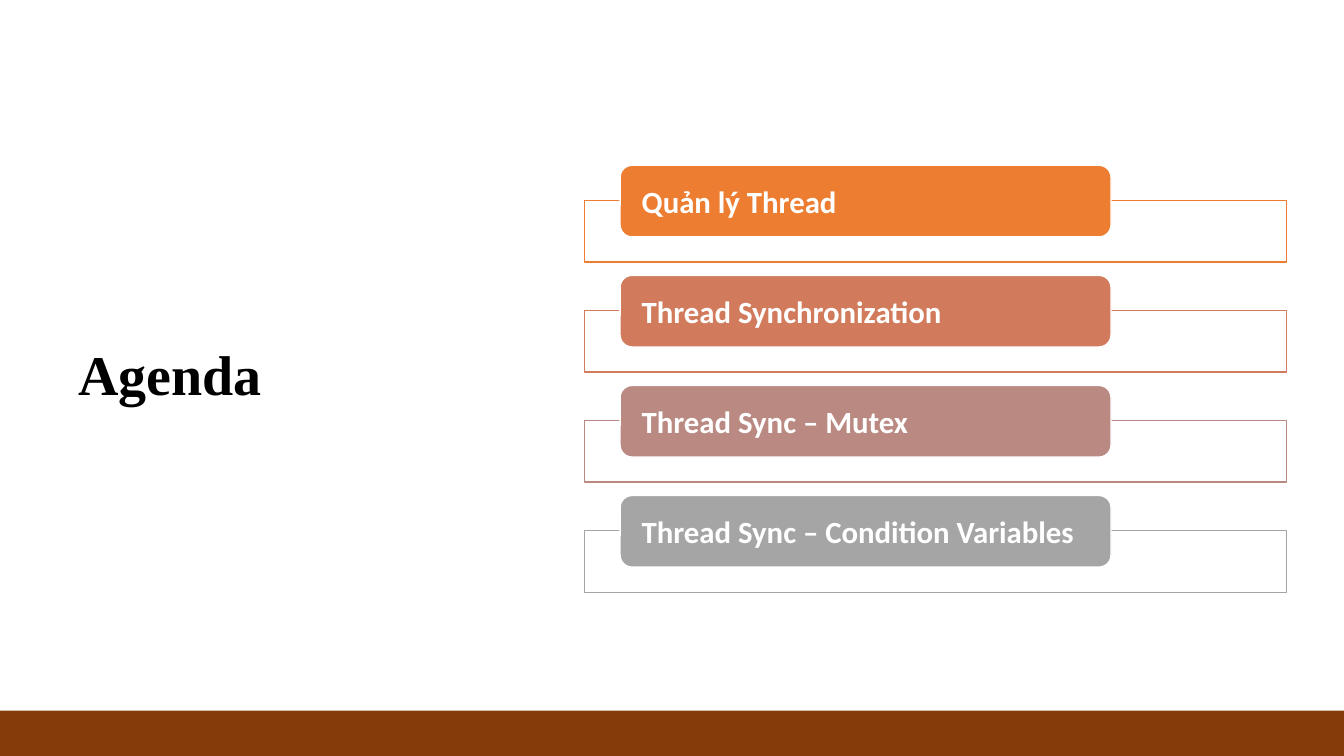
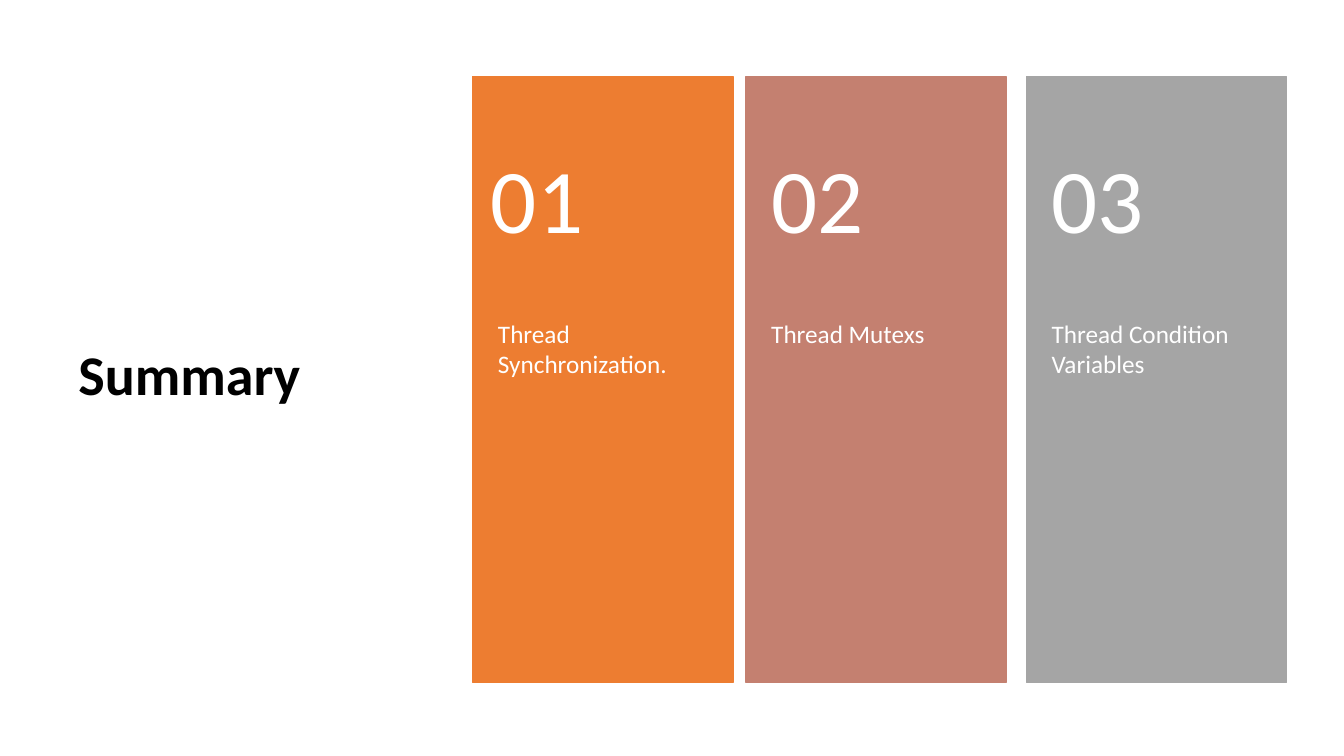
from pptx import Presentation
from pptx.dml.color import RGBColor
from pptx.enum.shapes import MSO_SHAPE
from pptx.enum.text import MSO_ANCHOR, PP_ALIGN
from pptx.util import Inches, Pt

RECTANGLE = MSO_SHAPE.RECTANGLE
ROUNDED = MSO_SHAPE.ROUNDED_RECTANGLE
TOP = MSO_ANCHOR.TOP
MIDDLE = MSO_ANCHOR.MIDDLE
LEFT = PP_ALIGN.LEFT

WHITE = "FFFFFF"
BLACK = "000000"
ORANGE = "ED7D31"
GRAY = "A5A5A5"
BROWN = "843C0B"
BODY_FONT = "Calibri"

presentation = Presentation()
presentation.slide_width = Inches(13.33)
presentation.slide_height = Inches(7.5)
COLUMN = presentation.slide_width / 100
ROW = presentation.slide_height / 100


def paint(target, color):
    if hasattr(target, "solid"):
        target.solid()
        target.fore_color.rgb = RGBColor.from_string(color)
    else:
        target.color.rgb = RGBColor.from_string(color)


def add_box(slide, area, kind=None, fill=None, line=None, text="", size=18,
            color=WHITE, font=BODY_FONT, bold=False, anchor=MIDDLE,
            insets=(0.1, 0.05, 0.1, 0.05), after=0, spacing=1):
    left, top, width, height = area
    place = [round(length) for length in
             (left * COLUMN, top * ROW, width * COLUMN, height * ROW)]
    if kind is None:
        shape = slide.shapes.add_textbox(*place)
    else:
        shape = slide.shapes.add_shape(kind, *place)
        shape.shadow.inherit = False
        paint(shape.fill, fill)
        if line:
            paint(shape.line, line)
            shape.line.width = Pt(1)
        else:
            shape.line.fill.background()
    if text:
        frame = shape.text_frame
        frame.text = text
        frame.word_wrap = True
        frame.vertical_anchor = anchor
        (frame.margin_left, frame.margin_top,
         frame.margin_right, frame.margin_bottom) = map(Inches, insets)
        paragraph = frame.paragraphs[0]
        paragraph.alignment = LEFT
        paragraph.space_after = Pt(after)
        paragraph.line_spacing = spacing
        run = paragraph.runs[0]
        run.font.name = font
        run.font.size = Pt(size)
        run.font.bold = bold
        paint(run.font, color)


slides = []
for title, font in [("Agenda", "Times New Roman"), ("Summary", BODY_FONT)]:
    slide = presentation.slides.add_slide(presentation.slide_layouts[6])
    add_box(slide, (5.1, 16.93, 29.56, 66), text=title, size=40, color=BLACK,
            font=font, bold=True, after=6, spacing=0.9)
    slides.append(slide)
agenda, summary = slides

add_box(agenda, (0, 94, 100, 6), RECTANGLE, BROWN)
topics = [
    ("Quản lý Thread", ORANGE),
    ("Thread Synchronization", "D17B5C"),
    ("Thread Sync – Mutex", "B98982"),
    ("Thread Sync – Condition Variables", GRAY),
]
TOPIC_PITCH = 14.56
for index, (topic, color) in enumerate(topics):
    offset = index * TOPIC_PITCH
    add_box(agenda, (43.51, 26.53 + offset, 52.21, 8.13), RECTANGLE, WHITE, color)
    add_box(agenda, (46.14, 21.87 + offset, 36.53, 9.47), ROUNDED, color, WHITE,
            topic, size=22, bold=True, insets=(0.18, 0, 0.18, 0))

panels = [
    (35.18, 34.66, "Thread Synchronization.", ORANGE),
    (55.51, 55.51, "Thread Mutexs", "C48070"),
    (76.37, 76.37, "Thread Condition Variables", GRAY),
]
PANEL_WIDTH = 19.35
PANEL_TOP = 10.13
NUMBER_HEIGHT = 32
LABEL_HEIGHT = 48.13
for number, (left, number_left, label, color) in enumerate(panels, 1):
    add_box(summary, (left, PANEL_TOP, PANEL_WIDTH, NUMBER_HEIGHT + LABEL_HEIGHT),
            RECTANGLE, color, color)
    add_box(summary, (number_left, PANEL_TOP, PANEL_WIDTH, NUMBER_HEIGHT),
            text=f"{number:02}", size=65, insets=(0.25, 0.18, 0.25, 0.18))
    add_box(summary, (left, PANEL_TOP + NUMBER_HEIGHT, PANEL_WIDTH, LABEL_HEIGHT),
            text=label, anchor=TOP, insets=(0.25, 0, 0.25, 0.25))

presentation.save("out.pptx")
